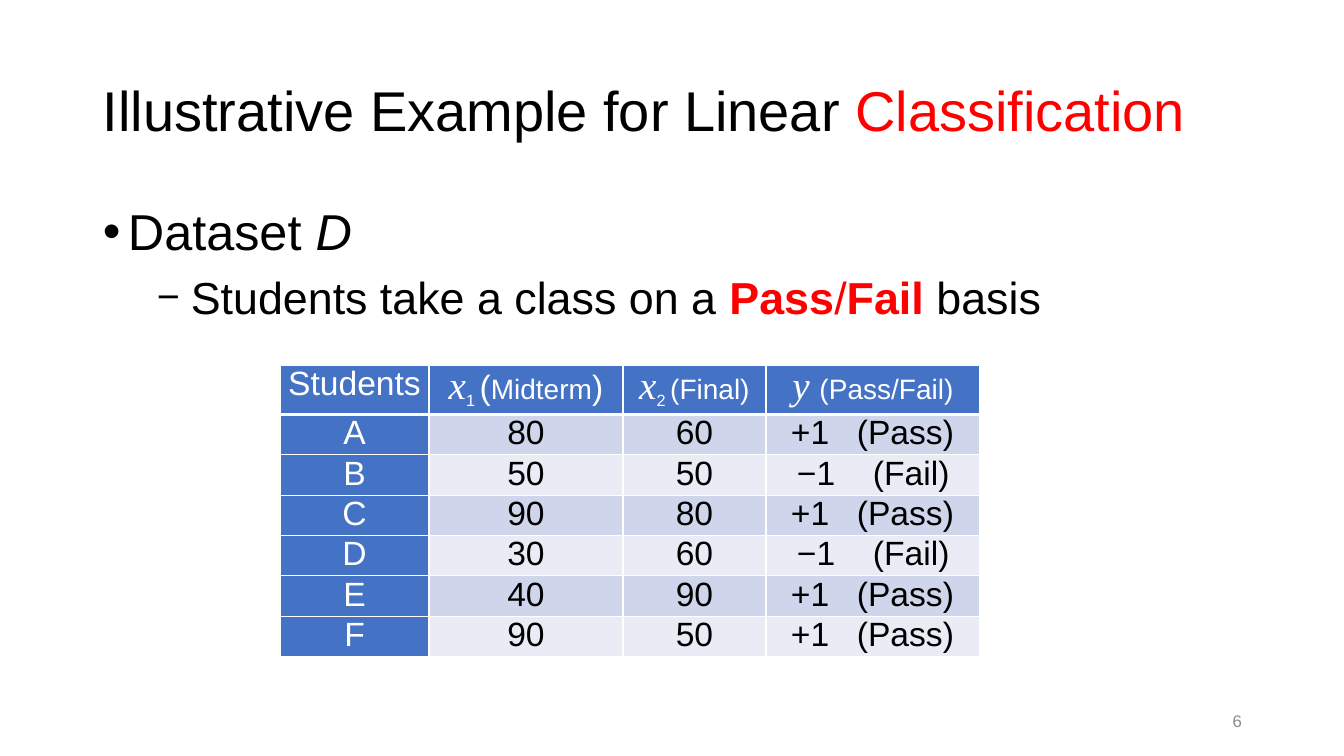
"""Build the slide on the Pass/Fail dataset for linear classification."""
from dataclasses import dataclass, field

from lxml.etree import SubElement
from pptx import Presentation
from pptx.enum.text import MSO_ANCHOR, PP_ALIGN
from pptx.oxml.ns import qn
from pptx.slide import Slide
from pptx.table import _Cell
from pptx.util import Pt
from pptx.dml.color import RGBColor

EMU_PER_PX = 914400 / 100.8
COLORS = {
    "text": "000000", "accent": "FF0000", "number": "8C8C8C", "white": "FFFFFF",
    "header": "4472C4", "odd": "CFD5EA", "even": "E9EBF5",
}
SYMBOL = {"name": "Times New Roman", "italic": True}
SUBSCRIPT = -25000
CELL_INSET = 7


@dataclass
class Piece:
    text: str
    size: int
    color: str = "text"
    font: dict = field(default_factory=dict)
    baseline: int = 0


@dataclass
class Line:
    pieces: list[Piece]
    format: dict = field(default_factory=dict)
    bullet: str = ""
    bullet_percent: int = 100
    margin: int = 0
    hanging: int = 0
    tab: int = 0


@dataclass
class TextArea:
    left: int
    top: int
    width: int
    height: int
    anchor: MSO_ANCHOR
    lines: list[Line]


@dataclass
class Verdict:
    sign: str
    label: str
    inset: int
    tab: int


def px(length: int) -> int:
    return round(length * EMU_PER_PX)


def rgb(color: str) -> RGBColor:
    return RGBColor.from_string(COLORS[color])


def set_all(target, values: dict) -> None:
    for key, value in values.items():
        setattr(target, key, value)


def write_line(paragraph, line: Line) -> None:
    set_all(paragraph, line.format)
    properties = paragraph._p.get_or_add_pPr()
    if line.bullet:
        properties.set("marL", str(px(line.margin)))
        properties.set("indent", str(-px(line.hanging)))
        SubElement(properties, qn("a:buSzPct"), val=str(line.bullet_percent * 1000))
        SubElement(properties, qn("a:buFont"), typeface="Arial")
        SubElement(properties, qn("a:buChar"), char=line.bullet)
    if line.tab:
        stops = SubElement(properties, qn("a:tabLst"))
        SubElement(stops, qn("a:tab"), pos=str(px(line.tab)), algn="l")
    for piece in line.pieces:
        run = paragraph.add_run()
        run.text = piece.text
        defaults = {"name": "Arial", "size": Pt(piece.size), "bold": False, "italic": False}
        set_all(run.font, defaults | piece.font)
        run.font.color.rgb = rgb(piece.color)
        if piece.baseline:
            run.font._element.set("baseline", str(piece.baseline))


def draw_text(slide: Slide, area: TextArea) -> None:
    box = slide.shapes.add_textbox(*map(px, (area.left, area.top, area.width, area.height)))
    frame = box.text_frame
    set_all(frame, {"word_wrap": True, "vertical_anchor": area.anchor})
    for index, line in enumerate(area.lines):
        write_line(frame.add_paragraph() if index else frame.paragraphs[0], line)


def draw_cell(cell: _Cell, line: Line, fill: str, bottom: int = 1, inset: int = CELL_INSET) -> None:
    set_all(cell, {"margin_left": px(inset), "margin_right": px(CELL_INSET),
                   "margin_top": 0, "margin_bottom": 0})
    write_line(cell.text_frame.paragraphs[0], line)
    properties = cell._tc.get_or_add_tcPr()
    for side, points in {"lnL": 1, "lnR": 1, "lnT": 1, "lnB": bottom}.items():
        border = SubElement(properties, qn(f"a:{side}"), w=str(Pt(points)))
        solid = SubElement(border, qn("a:solidFill"))
        SubElement(solid, qn("a:srgbClr"), val=COLORS["white"])
    cell.fill.solid()
    cell.fill.fore_color.rgb = rgb(fill)


def centered(*pieces: Piece) -> Line:
    return Line(list(pieces), {"alignment": PP_ALIGN.CENTER})


def white(text: str, size: int, **options) -> Piece:
    return Piece(text, size, "white", **options)


PASS = Verdict("+1", "(Pass)", 25, 66)
FAIL = Verdict("−1", "(Fail)", 31, 76)
STUDENTS = [
    ("A", 80, 60, PASS), ("B", 50, 50, FAIL), ("C", 90, 80, PASS),
    ("D", 30, 60, FAIL), ("E", 40, 90, PASS), ("F", 90, 50, PASS),
]
HEADINGS = [
    centered(white("Students", 24)),
    centered(white("x", 28, font=SYMBOL), white("1 ", 20, baseline=SUBSCRIPT),
             white("(", 24), white("Midterm", 20), white(")", 24)),
    centered(white("x", 28, font=SYMBOL), white("2 ", 20, baseline=SUBSCRIPT),
             white("(Final)", 20)),
    centered(white("y ", 28, font=SYMBOL), white("(Pass/Fail)", 20)),
]
COLUMN_WIDTHS = [149, 194, 143, 214]
ROW_HEIGHTS = [44] + [37] * len(STUDENTS)
BODY_FORMAT = {"line_spacing": 0.9, "space_before": Pt(10)}
TEXT_AREAS = [
    TextArea(93, 40, 1159, 146, MSO_ANCHOR.MIDDLE, [
        Line([Piece("Illustrative Example for Linear ", 40),
              Piece("Classification", 40, "accent")], {"line_spacing": 0.9}),
    ]),
    TextArea(950, 701, 302, 40, MSO_ANCHOR.MIDDLE, [
        Line([Piece("6", 12, "number")], {"alignment": PP_ALIGN.RIGHT}),
    ]),
    TextArea(93, 202, 1159, 492, MSO_ANCHOR.TOP, [
        Line([Piece("Dataset ", 36), Piece("D", 36, font={"italic": True})],
             BODY_FORMAT, "•", margin=25, hanging=25),
        Line([Piece("Students take a class on a ", 32),
              Piece("Pass", 32, "accent", {"bold": True}), Piece("/", 32, "accent"),
              Piece("Fail", 32, "accent", {"bold": True}), Piece(" basis", 32)],
             BODY_FORMAT, "−", 88, margin=88, hanging=34),
    ]),
]


def draw_dataset(slide: Slide) -> None:
    dataset = slide.shapes.add_table(
        len(ROW_HEIGHTS), len(COLUMN_WIDTHS), px(280), px(365),
        px(sum(COLUMN_WIDTHS)), px(sum(ROW_HEIGHTS))).table
    for column, width in zip(dataset.columns, COLUMN_WIDTHS):
        column.width = px(width)
    for row, height in zip(dataset.rows, ROW_HEIGHTS):
        row.height = px(height)
    for column, heading in enumerate(HEADINGS):
        draw_cell(dataset.cell(0, column), heading, "header", bottom=3)
    for row, (student, midterm, final, verdict) in enumerate(STUDENTS, 1):
        band = "odd" if row % 2 else "even"
        draw_cell(dataset.cell(row, 0), centered(white(student, 24)), "header")
        for column, score in enumerate((midterm, final), 1):
            draw_cell(dataset.cell(row, column), centered(Piece(str(score), 24)), band)
        outcome = Line([Piece(f"{verdict.sign}\t{verdict.label}", 24)], tab=verdict.tab)
        draw_cell(dataset.cell(row, 3), outcome, band, inset=verdict.inset)


def main() -> None:
    presentation = Presentation()
    set_all(presentation, {"slide_width": px(1344), "slide_height": px(756)})
    slide = presentation.slides.add_slide(presentation.slide_layouts[6])
    for area in TEXT_AREAS:
        draw_text(slide, area)
    draw_dataset(slide)
    presentation.save("out.pptx")


if __name__ == "__main__":
    main()
